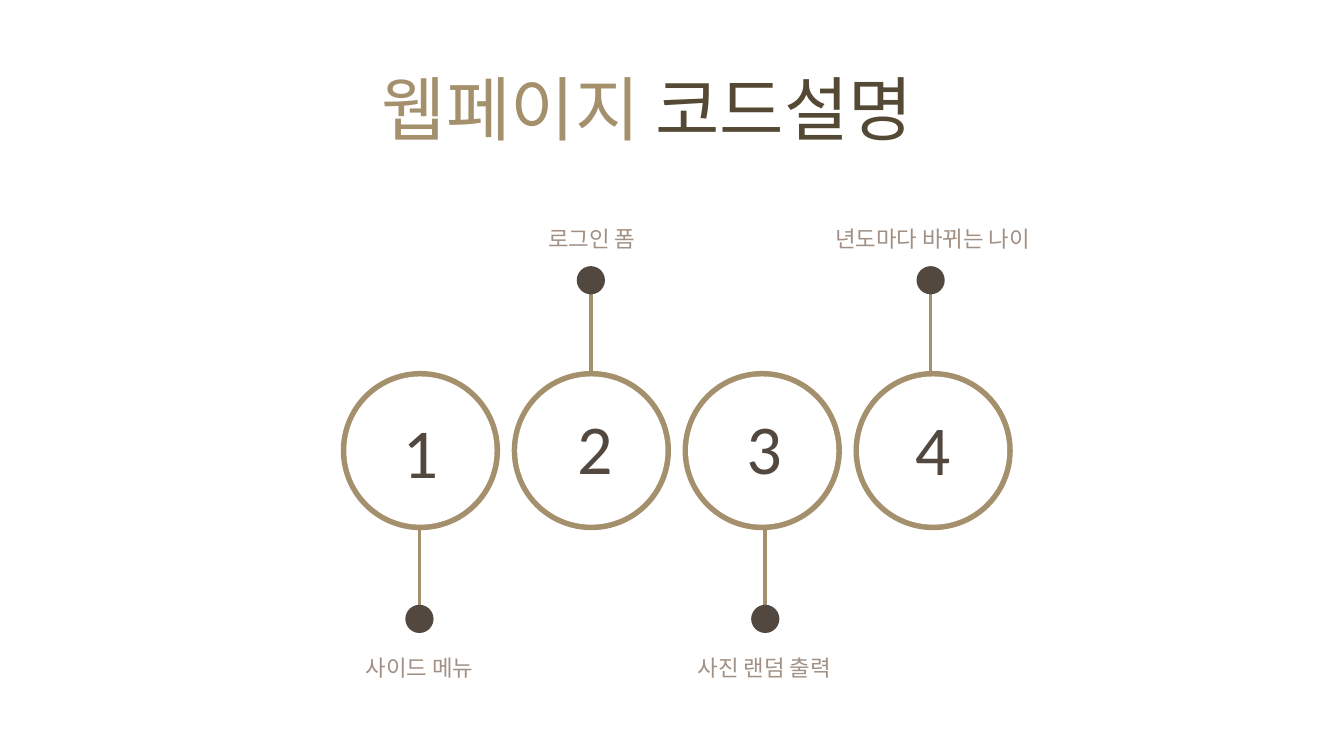
from lxml import etree
from pptx import Presentation
from pptx.dml.color import RGBColor
from pptx.enum.shapes import MSO_CONNECTOR, MSO_SHAPE
from pptx.enum.text import MSO_AUTO_SIZE, PP_ALIGN
from pptx.oxml.ns import qn
from pptx.util import Inches, Pt

OVAL = MSO_SHAPE.OVAL
LINE = MSO_CONNECTOR.STRAIGHT
GROW = MSO_AUTO_SIZE.SHAPE_TO_FIT_TEXT
LEFT, CENTER = PP_ALIGN.LEFT, PP_ALIGN.CENTER

GOLD, BROWN, OLIVE, TAUPE, WHITE = "A4906C", "53483F", "544934", "A19083", "FFFFFF"
KOREAN = "Noto Sans CJK KR"
RING, RIM, DOT, PITCH = 1.58, 0.055, 0.28, 1.695

# Number, label, whether it points up, then middles of dot, label and digit, digit top
STEPS = [
    ("1", "사이드 메뉴", False, 4.16, 4.16, 4.17, 4.0),
    ("2", "로그인 폼", True, 5.86, 5.87, 5.9, 3.96),
    ("3", "사진 랜덤 출력", False, 7.59, 7.58, 7.58, 3.96),
    ("4", "년도마다 바뀌는 나이", True, 9.23, 9.25, 9.25, 3.97),
]


def color(code):
    return RGBColor.from_string(code)


def disc(slide, left, top, size, fill):
    shape = slide.shapes.add_shape(
        OVAL, Inches(left), Inches(top), Inches(size), Inches(size))
    shape.shadow.inherit = False
    shape.fill.solid()
    shape.fill.fore_color.rgb = color(fill)
    shape.line.fill.background()


def stem(slide, x, top, bottom):
    line = slide.shapes.add_connector(
        LINE, Inches(x), Inches(top), Inches(x), Inches(bottom))
    line.line.color.rgb = color(GOLD)
    line.line.width = Pt(2.7)
    etree.SubElement(line._element.spPr, qn("a:effectLst"))


def write(slide, box, runs, size, face, align=CENTER, wrap=True, space=None):
    frame = slide.shapes.add_textbox(*map(Inches, box)).text_frame
    frame.word_wrap = wrap
    frame.auto_size = GROW
    para = frame.paragraphs[0]
    para.alignment = align
    if space:
        para.line_spacing = Pt(space)
    for text, code in runs:
        run = para.add_run()
        run.text = text
        run.font.size = Pt(size)
        run.font.color.rgb = color(code)
        run.font.name = face
        # Typeface for the Korean letters
        etree.SubElement(run._r.get_or_add_rPr(), qn("a:ea"), typeface=KOREAN)


def title(slide, box):
    write(slide, box, [("웹페이지 ", GOLD), ("코드설명", OLIVE)], 50, KOREAN, LEFT)


def step(slide, left, top, item):
    number, label, up, dot, mid, digit, height = item

    # Stem, running from inside the dot to inside the ring
    start = top - 0.92 if up else top + 1.42
    stem(slide, dot, start, start + 1.05)

    # Ring and dot
    disc(slide, left, top, RING, GOLD)
    disc(slide, left + RIM, top + RIM, RING - 2 * RIM, WHITE)
    disc(slide, dot - DOT / 2, top + (-1.04 if up else 2.32), DOT, BROWN)

    # Label and digit
    write(slide, (mid - 1.21, top + (-1.54 if up else 2.72), 2.42, 0.38),
          [(label, TAUPE)], 16, "Lato", space=22.2)
    write(slide, (digit - 0.28, height, 0.56, 0.94),
          [(number, BROWN)], 50, "Calibri", wrap=False)


def main():
    deck = Presentation()
    deck.slide_width, deck.slide_height = Inches(13.33), Inches(7.5)
    slide = deck.slides.add_slide(deck.slide_layouts[6])
    for i, item in enumerate(STEPS):
        step(slide, 3.38 + i * PITCH, 3.68, item)
    title(slide, (3.69, 0.6, 6, 0.94))
    deck.save("out.pptx")


if __name__ == "__main__":
    main()
